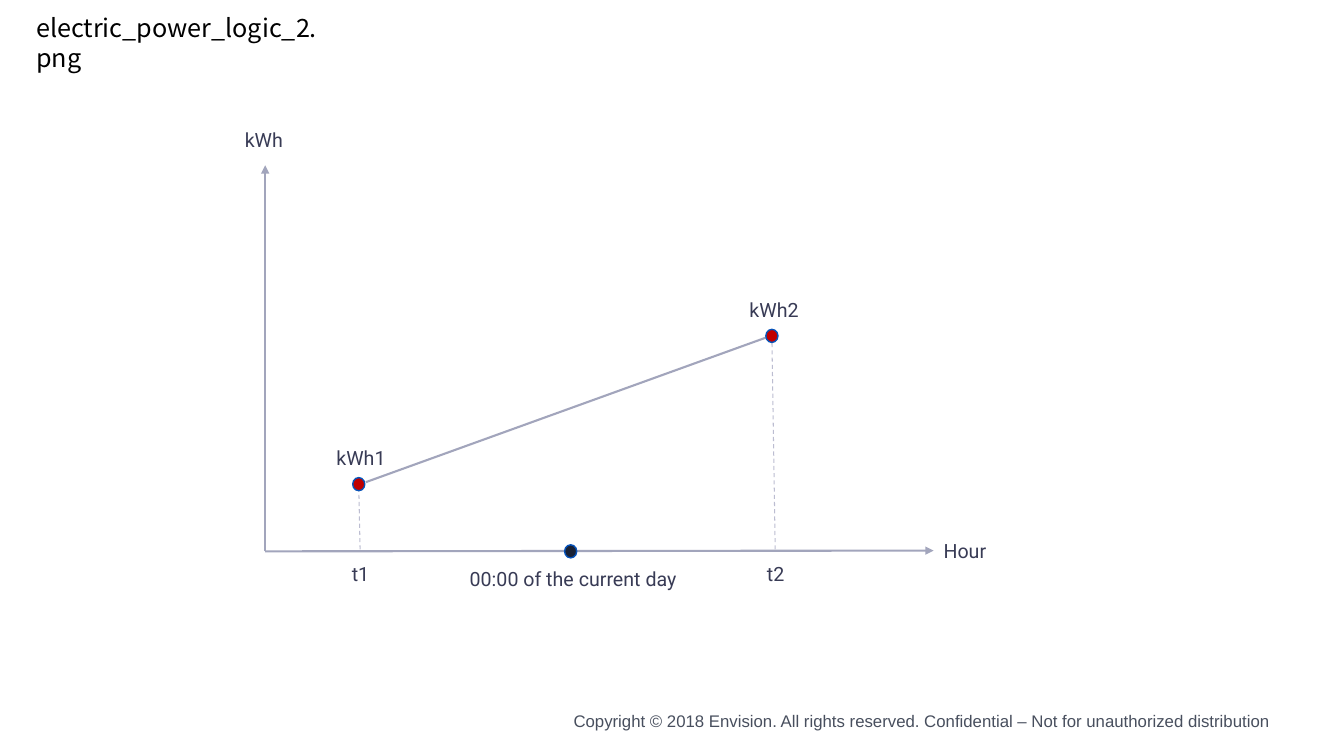
from lxml import etree
from pptx import Presentation
from pptx.dml.color import RGBColor
from pptx.enum.dml import MSO_LINE
from pptx.enum.shapes import MSO_CONNECTOR, MSO_SHAPE
from pptx.enum.text import MSO_ANCHOR, PP_ALIGN
from pptx.oxml.ns import qn
from pptx.util import Inches, Pt

W, H = 13.33, 7.5
AXIS, GUIDE, LABEL = "A2A5BC", "BCBDD1", "383B55"
RED, NAVY, OUTLINE = "C00000", "192236", "0652B8"


def color(hex_text):
    return RGBColor.from_string(hex_text)


def add_text(shapes, text, x, y, w, h, size=14, font="Roboto",
             fill=LABEL, align=PP_ALIGN.LEFT):
    tf = shapes.add_textbox(Inches(x), Inches(y), Inches(w), Inches(h)).text_frame
    tf.word_wrap = True
    tf.vertical_anchor = MSO_ANCHOR.TOP
    p = tf.paragraphs[0]
    p.alignment = align
    r = p.add_run()
    r.text = text
    r.font.size = Pt(size)
    r.font.name = font
    r.font.color.rgb = color(fill)
    # The same typeface for East Asian text
    etree.SubElement(r.font._element, qn("a:ea")).set("typeface", font)


def add_line(shapes, start, end, fill=AXIS, width=1.5, dashed=False, arrow=False):
    ends = [Inches(v) for v in (*start, *end)]
    line = shapes.add_connector(MSO_CONNECTOR.STRAIGHT, *ends)
    line.line.color.rgb = color(fill)
    line.line.width = Pt(width)
    if dashed:
        line.line.dash_style = MSO_LINE.DASH
    if arrow:
        ln = line.line._get_or_add_ln()
        etree.SubElement(ln, qn("a:tailEnd")).set("type", "triangle")
    etree.SubElement(line._element.spPr, qn("a:effectLst"))


def add_dot(shapes, center, fill, w=0.12, h=0.13):
    x, y = center
    sp = shapes.add_shape(MSO_SHAPE.OVAL, Inches(x - w / 2), Inches(y - h / 2),
                          Inches(w), Inches(h))
    sp.shadow.inherit = False
    sp.fill.solid()
    sp.fill.fore_color.rgb = color(fill)
    sp.line.color.rgb = color(OUTLINE)
    sp.line.width = Pt(1)


def energy_diagram(slide, x, y, w, h):
    shapes = slide.shapes.add_group_shape().shapes

    def at(across, up):
        """Point in the plot, as percentages of its width and height."""
        return x + w * across / 100, y + h * (1 - up / 100)

    def label(text, point, dx, dy, width=1.13):
        add_text(shapes, text, point[0] + dx, point[1] + dy, width, 0.34)

    origin, hour_end, kwh_end = at(0, 0), at(100, 0.2), at(0, 100)
    first, second, midnight = at(14, 17.4), at(75.8, 55.8), at(45.7, 0)
    t1, t2 = at(14.2, 0.5), at(76.3, 0.5)

    # Trend between the two readings, then the axes
    add_line(shapes, (first[0] + 0.07, first[1] - 0.02),
             (second[0] - 0.04, second[1] + 0.01))
    for end in (hour_end, kwh_end):
        add_line(shapes, origin, end, arrow=True)

    # Labels
    label("Hour", hour_end, 0, -0.17)
    label("kWh", kwh_end, -0.3, -0.42)
    label("00:00 of the current day", midnight, -1.1, 0.11, width=3.71)
    for number, reading, tick in ((1, first, t1), (2, second, t2)):
        label(f"t{number}", tick, -0.18, 0.07)
        label(f"kWh{number}", reading, -0.32, -0.43)
        add_line(shapes, tick, reading, GUIDE, 0.75, dashed=True)

    # Markers
    for point, fill in ((first, RED), (second, RED), (midnight, NAVY)):
        add_dot(shapes, point, fill)


def title(slide, x, y, w, h):
    add_text(slide.shapes, "electric_power_logic_2.png", x, y, w, h,
             size=18, font="Noto Sans CJK SC", fill="000000")


def footer(slide, x, y, w, h):
    add_text(slide.shapes,
             "Copyright © 2018 Envision. All rights reserved. "
             "Confidential – Not for unauthorized distribution",
             x, y, w, h, size=12, font="Arial", fill="484F5E",
             align=PP_ALIGN.RIGHT)


def main():
    prs = Presentation()
    prs.slide_width, prs.slide_height = Inches(W), Inches(H)
    slide = prs.slides.add_slide(prs.slide_layouts[6])
    footer(slide, 4.87, 7, 7.83, 0.3)
    title(slide, 0.26, 0.07, 3.1, 0.4)
    energy_diagram(slide, 2.63, 1.64, 6.63, 3.83)
    prs.save("out.pptx")


if __name__ == "__main__":
    main()
